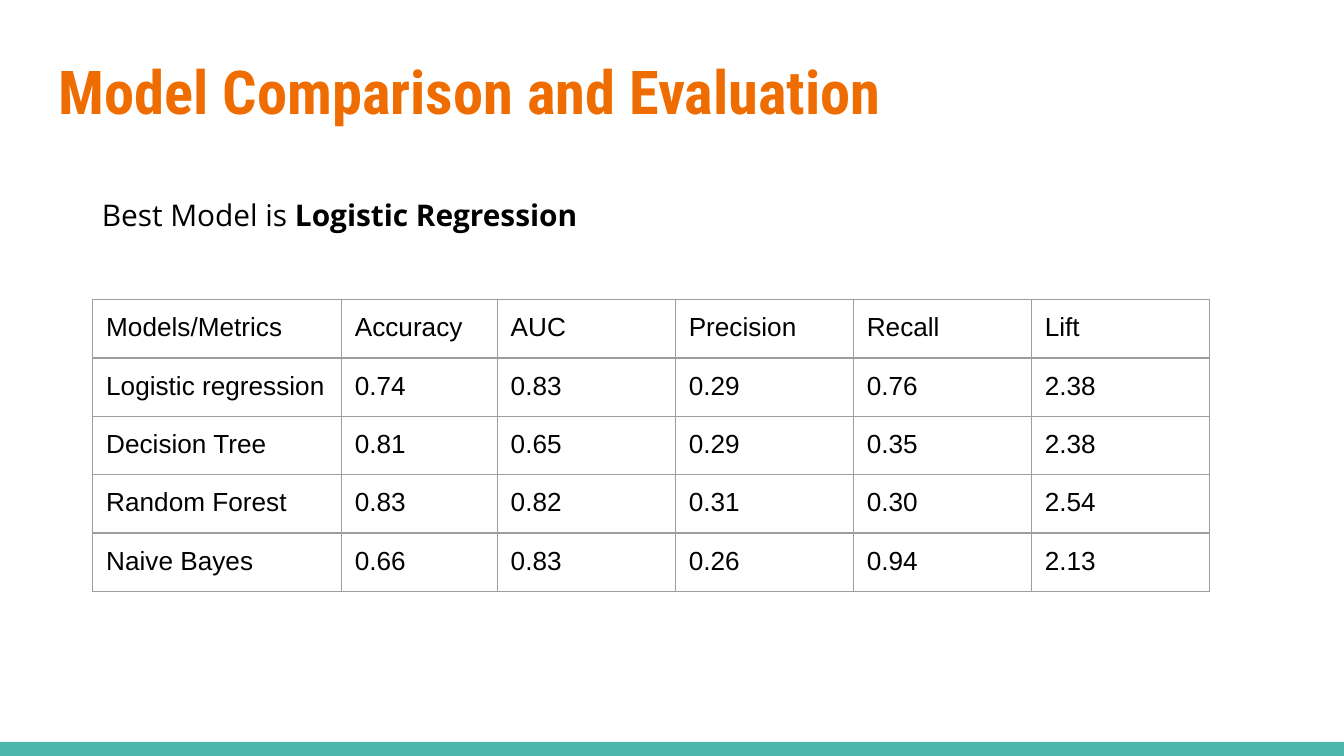
from dataclasses import dataclass
from pptx import Presentation
from pptx.dml.color import RGBColor as Color
from pptx.enum.shapes import MSO_SHAPE as Shape
from pptx.enum.text import MSO_ANCHOR as Anchor
from pptx.oxml import parse_xml
from pptx.oxml.ns import nsdecls
from pptx.util import Inches, Pt

COLS, ROWS, UNIT = 100, 56.25, 0.1


@dataclass(frozen=True)
class Theme:
    teal: str = "4DB6AC"
    line: str = "9E9E9E"
    title = {"name": "Roboto Condensed", "size": 32.4, "bold": True, "color": "EF6C00"}
    body = {"name": "Open Sans", "size": 16, "bold": False, "color": "000000"}
    strong = {**body, "bold": True}
    cell = {"name": "Arial", "size": 14, "bold": False, "color": "000000"}


def grid(*spans):
    return [Inches(span * UNIT) for span in spans]


class Deck:
    def __init__(self, theme):
        self.theme = theme
        self.file = Presentation()
        self.file.slide_width, self.file.slide_height = grid(COLS, ROWS)
        self.slide = self.file.slides.add_slide(self.file.slide_layouts[6])

    def bar(self, box, color):
        shape = self.slide.shapes.add_shape(Shape.RECTANGLE, *grid(*box))
        shape.shadow.inherit = False
        shape.fill.solid()
        shape.fill.fore_color.rgb = Color.from_string(color)
        shape.line.fill.background()

    def add_words(self, para, words, style):
        run = para.add_run()
        run.text = words
        look = {**style, "size": Pt(style["size"])}
        run.font.color.rgb = Color.from_string(look.pop("color"))
        for key, value in look.items():
            setattr(run.font, key, value)

    def inset(self, item):
        for side in ("left", "top", "right", "bottom"):
            setattr(item, f"margin_{side}", Inches(UNIT))

    def text(self, box, runs, anchor):
        frame = self.slide.shapes.add_textbox(*grid(*box)).text_frame
        frame.word_wrap = True
        frame.vertical_anchor = anchor
        self.inset(frame)
        for words, style in runs:
            self.add_words(frame.paragraphs[0], words, style)

    def border(self, cell):
        props = cell._tc.get_or_add_tcPr()
        for spot, side in enumerate("LRTB"):
            props.insert(spot, parse_xml(
                f'<a:ln{side} {nsdecls("a")} w="{Pt(0.75)}"><a:solidFill>'
                f'<a:srgbClr val="{self.theme.line}"/></a:solidFill></a:ln{side}>'))

    def table(self, spot, widths, height, data):
        box = (*spot, sum(widths), height * len(data))
        table = self.slide.shapes.add_table(len(data), len(widths), *grid(*box)).table
        table.first_row = table.horz_banding = False
        for column, width in zip(table.columns, grid(*widths)):
            column.width = width
        for r, row in enumerate(data):
            for c, words in enumerate(row):
                cell = table.cell(r, c)
                cell.fill.background()
                self.inset(cell)
                self.border(cell)
                self.add_words(cell.text_frame.paragraphs[0], words, self.theme.cell)


def main():
    theme = Theme()
    deck = Deck(theme)
    deck.bar((0, 55.2, COLS, ROWS - 55.2), theme.teal)
    deck.text((3.4, 2.7, 93.2, 7.7),
              [("Model Comparison and Evaluation", theme.title)], Anchor.BOTTOM)
    deck.table((6.9, 22.3), [18.5, 11.6] + [13.25] * 4, 4.2, [
        ("Models/Metrics", "Accuracy", "AUC", "Precision", "Recall", "Lift"),
        ("Logistic regression", "0.74", "0.83", "0.29", "0.76", "2.38"),
        ("Decision Tree", "0.81", "0.65", "0.29", "0.35", "2.38"),
        ("Random Forest", "0.83", "0.82", "0.31", "0.30", "2.54"),
        ("Naive Bayes", "0.66", "0.83", "0.26", "0.94", "2.13"),
    ])
    deck.text((6.6, 13.6, 68, 4.7),
              [("Best Model is ", theme.body), ("Logistic Regression", theme.strong)],
              Anchor.MIDDLE)
    deck.file.save("out.pptx")


if __name__ == "__main__":
    main()
